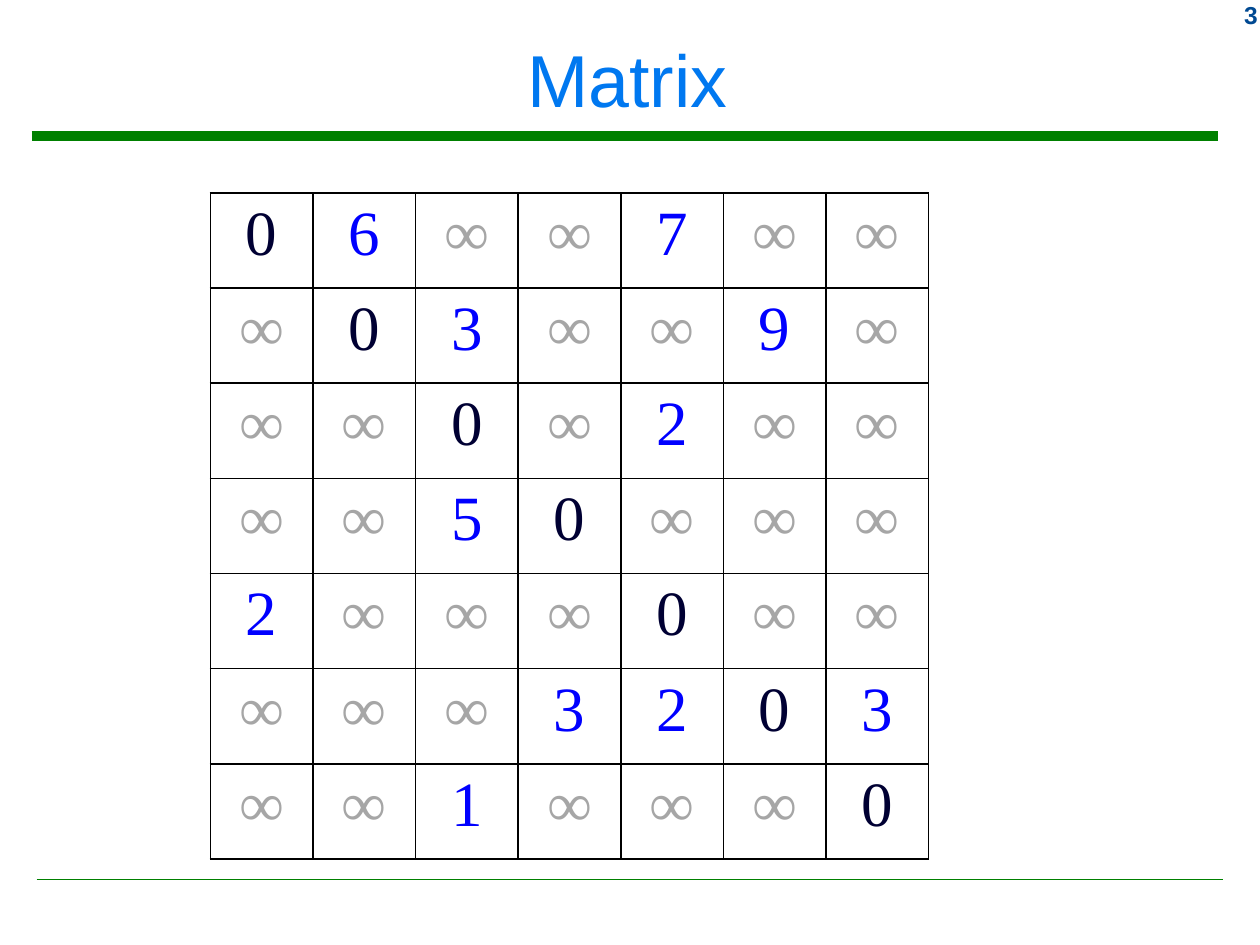
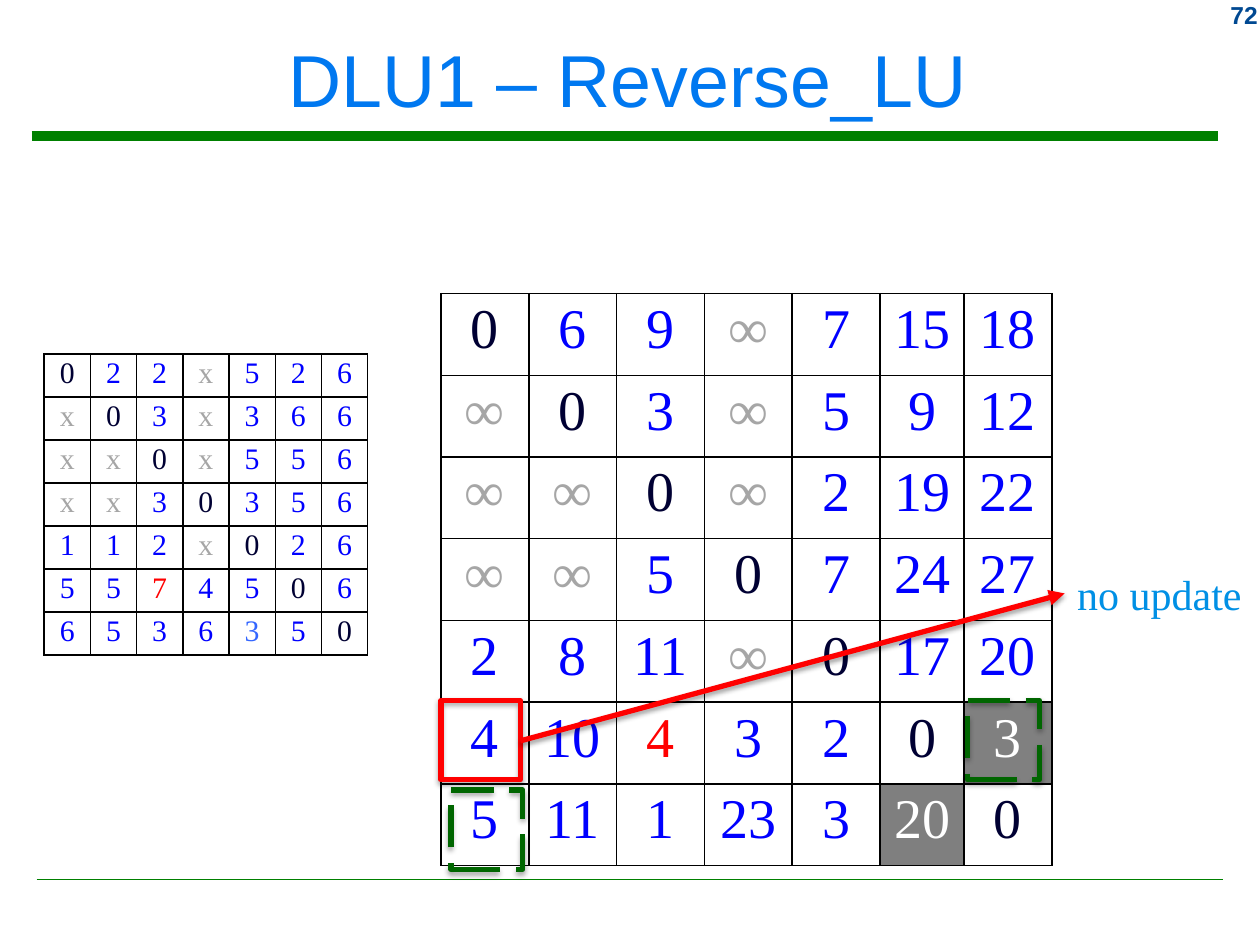
from lxml import etree
from pptx import Presentation
from pptx.dml.color import RGBColor
from pptx.enum.dml import MSO_LINE
from pptx.enum.shapes import MSO_CONNECTOR, MSO_SHAPE
from pptx.enum.text import MSO_ANCHOR as ANCHOR, MSO_AUTO_SIZE as AUTO, PP_ALIGN as ALIGN
from pptx.oxml.ns import qn
from pptx.util import Inches, Pt

# Shared colours and fonts
SANS, SERIF = "Arial", "Times New Roman"
BLACK, WHITE, RED, BLUE = "000000", "FFFFFF", "FF0000", "0000FF"
RULE_GREEN, DASH_GREEN = "008000", "006600"
TITLE_BLUE, NUMBER_BLUE, NOTE_BLUE = "0078F0", "004992", "0090E5"
ZERO_NAVY, EMPTY_GREY = "000033", "A6A6A6"

# Matrix contents, one line per row
ADJACENCY = """
0 6 ∞ ∞ 7 ∞ ∞
∞ 0 3 ∞ ∞ 9 ∞
∞ ∞ 0 ∞ 2 ∞ ∞
∞ ∞ 5 0 ∞ ∞ ∞
2 ∞ ∞ ∞ 0 ∞ ∞
∞ ∞ ∞ 3 2 0 3
∞ ∞ 1 ∞ ∞ ∞ 0
"""
DISTANCES = """
0 6 9 ∞ 7 15 18
∞ 0 3 ∞ 5 9 12
∞ ∞ 0 ∞ 2 19 22
∞ ∞ 5 0 7 24 27
2 8 11 ∞ 0 17 20
4 10 4 3 2 0 3
5 11 1 23 3 20 0
"""
PREDECESSORS = """
0 2 2 x 5 2 6
x 0 3 x 3 6 6
x x 0 x 5 5 6
x x 3 0 3 5 6
1 1 2 x 0 2 6
5 5 7 4 5 0 6
6 5 3 6 3 5 0
"""


def rgb(color):
    return RGBColor.from_string(color)


def write(tf, text, size, color, font=SERIF, bold=False, align=ALIGN.CENTER):
    p = tf.paragraphs[0]
    p.alignment = align
    r = p.add_run()
    r.text = text
    r.font.size, r.font.name, r.font.bold = Pt(size), font, bold
    r.font.color.rgb = rgb(color)


def set_insets(box, x, y):
    box.margin_left = box.margin_right = Inches(x)
    box.margin_top = box.margin_bottom = Inches(y)


def add_text(shapes, text, x, y, w, h, wrap=True, **style):
    sp = shapes.add_textbox(Inches(x), Inches(y), Inches(w), Inches(h))
    tf = sp.text_frame
    tf.word_wrap = wrap
    tf.auto_size = AUTO.SHAPE_TO_FIT_TEXT
    write(tf, text, **style)


def set_shadow(sp, alpha=0, blur=3.1, dist=1.8):
    """Replace the theme shadow by a soft one straight down, or by none."""
    effects = etree.SubElement(sp._element.spPr, qn("a:effectLst"))
    if alpha:
        shadow = etree.SubElement(effects, qn("a:outerShdw"), blurRad=str(Pt(blur)),
                                  dist=str(Pt(dist)), dir="5400000", rotWithShape="0")
        color = etree.SubElement(shadow, qn("a:srgbClr"), val=BLACK)
        etree.SubElement(color, qn("a:alpha"), val=str(alpha * 1000))


def add_line(shapes, x1, y1, x2, y2, color, width, arrow=False, **shadow):
    ln = shapes.add_connector(MSO_CONNECTOR.STRAIGHT, Inches(x1), Inches(y1),
                              Inches(x2), Inches(y2))
    ln.line.color.rgb = rgb(color)
    ln.line.width = Pt(width)
    if arrow:
        etree.SubElement(ln.line._get_or_add_ln(), qn("a:tailEnd"), type="triangle")
    set_shadow(ln, **shadow)


def add_frame(shapes, x, y, w, h, color, dash=None):
    sp = shapes.add_shape(MSO_SHAPE.RECTANGLE, Inches(x), Inches(y), Inches(w), Inches(h))
    sp.fill.background()
    sp.line.color.rgb = rgb(color)
    sp.line.width = Pt(3)
    if dash:
        sp.line.dash_style = dash
    set_shadow(sp, alpha=35)


def set_borders(cell):
    tc_pr = cell._tc.get_or_add_tcPr()
    for i, side in enumerate(("lnL", "lnR", "lnT", "lnB")):
        ln = etree.Element(qn("a:" + side), w=str(Pt(1)))
        fill = etree.SubElement(ln, qn("a:solidFill"))
        etree.SubElement(fill, qn("a:srgbClr"), val=BLACK)
        tc_pr.insert(i, ln)


def value_color(value):
    return {"0": ZERO_NAVY, "∞": EMPTY_GREY, "x": EMPTY_GREY}.get(value, BLUE)


def add_matrix(slide, values, x, y, w, h, size, insets=(0.1, 0.05), fill=None,
               weights=(1,) * 7, marks=None):
    """Draw a matrix; marks maps (row, column) to (text colour, fill)."""
    rows = [line.split() for line in values.strip().splitlines()]
    table = slide.shapes.add_table(len(rows), len(weights), Inches(x), Inches(y),
                                   Inches(w), Inches(h)).table
    table.first_row = table.horz_banding = False
    for column, weight in zip(table.columns, weights):
        column.width = Inches(w * weight / sum(weights))
    for i, row in enumerate(rows):
        table.rows[i].height = Inches(h / len(rows))
        for j, value in enumerate(row):
            cell = table.cell(i, j)
            color, back = (marks or {}).get((i, j), (value_color(value), fill))
            set_insets(cell, *insets)
            write(cell.text_frame, value, size, color)
            if back:
                cell.fill.solid()
                cell.fill.fore_color.rgb = rgb(back)
            else:
                cell.fill.background()
            set_borders(cell)


def add_slide(prs, title, number):
    """Start a slide with the shared rules, page number and title."""
    slide = prs.slides.add_slide(prs.slide_layouts[5])
    add_line(slide.shapes, 0.25, 1.08, 9.67, 1.08, RULE_GREEN, 5.25)
    add_line(slide.shapes, 0.29, 6.98, 9.71, 6.98, RULE_GREEN, 1)
    add_text(slide.shapes, number, 9.17, -0.05, 0.91, 0.33, size=14, color=NUMBER_BLUE,
             font=SANS, bold=True, align=ALIGN.RIGHT)
    sp = slide.shapes.title
    sp.left, sp.top, sp.width, sp.height = map(Inches, (0.08, 0.09, 9.8, 1.06))
    tf = sp.text_frame
    tf.vertical_anchor = ANCHOR.MIDDLE
    tf.auto_size = AUTO.NONE
    write(tf, title, 42, TITLE_BLUE, font=SANS)
    return slide


def add_matrix_slide(prs):
    slide = add_slide(prs, "Matrix", "3")
    add_matrix(slide, ADJACENCY, 1.67, 1.53, 5.7, 5.29, 36)


def add_reverse_lu_slide(prs):
    slide = add_slide(prs, "DLU1 – Reverse_LU", "72")
    add_matrix(slide, DISTANCES, 3.5, 2.33, 4.85, 4.54, 32, (0.09, 0.04), WHITE,
               weights=(0.7,) * 5 + (0.67, 0.7),
               marks={(5, 2): (RED, WHITE), (5, 6): (WHITE, "808080"),
                      (6, 5): (WHITE, "7F7F7F")})

    # Checked cell with its remark
    remark = slide.shapes.add_group_shape().shapes
    add_frame(remark, 3.5, 5.56, 0.63, 0.63, RED)
    add_line(remark, 4.13, 5.88, 8.45, 4.71, RED, 3, arrow=True, alpha=38, dist=1.6)
    add_text(remark, "no update", 8.45, 4.46, 1.52, 0.5, wrap=False, size=24,
             color=NOTE_BLUE, align=ALIGN.LEFT)

    # The two cells that are combined
    for x, y in ((3.58, 6.27), (7.68, 5.56)):
        add_frame(slide.shapes, x, y, 0.57, 0.63, DASH_GREEN, MSO_LINE.LONG_DASH)

    add_matrix(slide, PREDECESSORS, 0.35, 2.81, 2.57, 2.39, 17, (0.05, 0.02), WHITE,
               marks={(5, 2): (RED, WHITE), (6, 4): ("3366FF", WHITE)})


def main():
    prs = Presentation()
    prs.slide_width, prs.slide_height = Inches(10), Inches(7.5)
    add_matrix_slide(prs)
    add_reverse_lu_slide(prs)
    prs.save("out.pptx")


if __name__ == "__main__":
    main()
